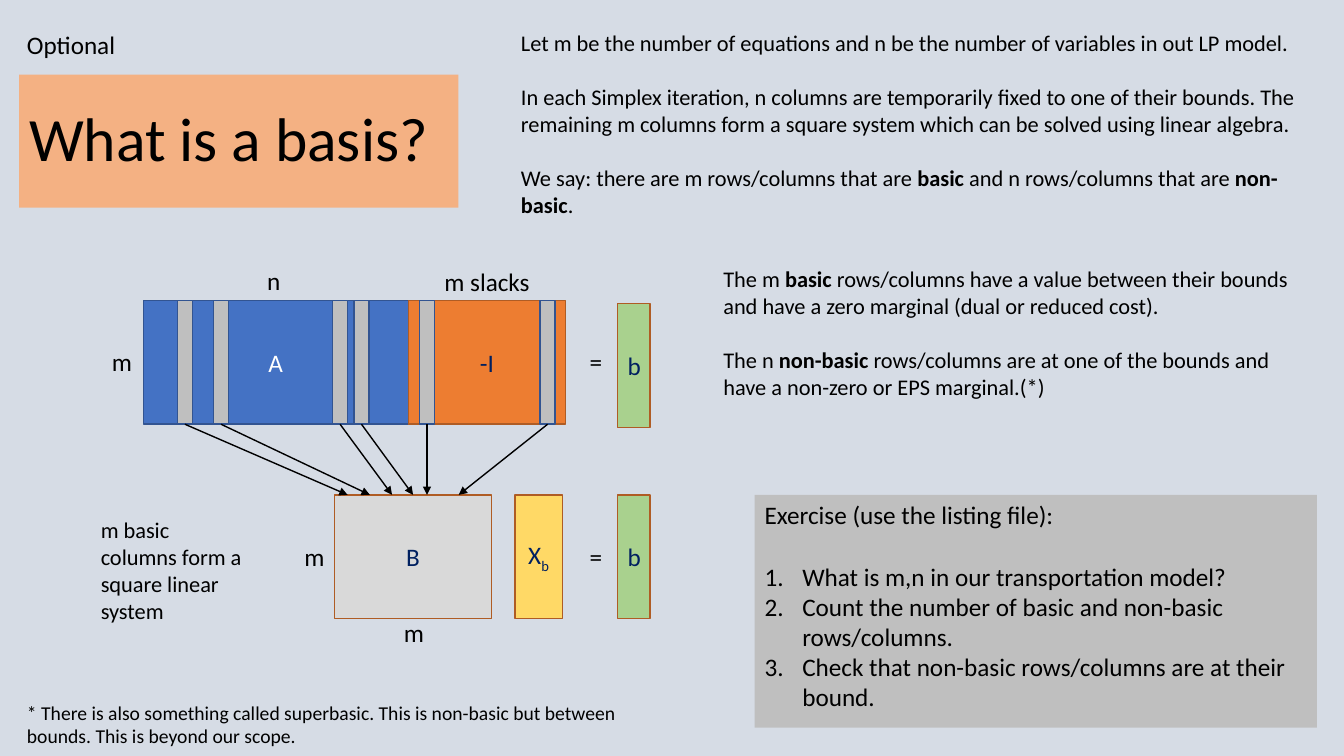
"""Build a slide that explains what a basis is in linear programming."""
from dataclasses import dataclass
from typing import Optional

from lxml import etree
from pptx import Presentation
from pptx.dml.color import RGBColor
from pptx.enum.shapes import MSO_CONNECTOR, MSO_SHAPE
from pptx.enum.text import MSO_ANCHOR, MSO_AUTO_SIZE, PP_ALIGN
from pptx.oxml.ns import qn
from pptx.util import Cm, Pt

RECT, LINE = MSO_SHAPE.RECTANGLE, MSO_CONNECTOR.STRAIGHT
TOP, MIDDLE = MSO_ANCHOR.TOP, MSO_ANCHOR.MIDDLE
LEFT, CENTER = PP_ALIGN.LEFT, PP_ALIGN.CENTER
GROW, FIXED = MSO_AUTO_SIZE.SHAPE_TO_FIT_TEXT, MSO_AUTO_SIZE.NONE

BLACK = RGBColor(0x00, 0x00, 0x00)
WHITE = RGBColor(0xFF, 0xFF, 0xFF)
NAVY = RGBColor(0x00, 0x20, 0x60)
PALE = RGBColor(0xD6, 0xDC, 0xE5)
PEACH = RGBColor(0xF4, 0xB1, 0x83)
BLUE = RGBColor(0x44, 0x72, 0xC4)
DARK = RGBColor(0x32, 0x54, 0x91)
ORANGE = RGBColor(0xED, 0x7D, 0x31)
RUST = RGBColor(0xAF, 0x5C, 0x24)
GREEN = RGBColor(0xA9, 0xD1, 0x8E)
YELLOW = RGBColor(0xFF, 0xD9, 0x66)
SILVER = RGBColor(0xD9, 0xD9, 0xD9)
GRAY = RGBColor(0xBF, 0xBF, 0xBF)

HIGH = 3.12
UPPER, LOWER = 7.57, 12.47
FOOT = UPPER + HIGH


@dataclass
class Box:
    """A filled block of the matrix diagram."""
    text: str
    x: float
    y: float
    w: float
    fill: RGBColor
    edge: RGBColor = RUST
    ink: RGBColor = NAVY
    sub: str = ""


@dataclass
class Note:
    """A text box, where ** switches bold on and off."""
    paras: list[str]
    x: float
    y: float
    w: float
    h: float = 1.02
    size: int = 18
    wrap: bool = False


@dataclass
class Strip:
    """A basic column and the point its arrow reaches, or none for the middle."""
    x: float
    tip: Optional[float]


BOXES = [
    Box("A", 3.61, UPPER, 6.68, BLUE, DARK, WHITE),
    Box("-I", 10.29, UPPER, 3.96, ORANGE),
    Box("b", 15.57, 7.65, 0.81, GREEN),
    Box("X", 12.98, LOWER, 1.19, YELLOW, sub="b"),
    Box("b", 15.57, LOWER, 0.81, GREEN),
]
BASIS = Box("B", 8.43, LOWER, 3.96, SILVER)
STRIPS = [Strip(4.47, 8.76), Strip(5.38, 9.32), Strip(8.38, 9.88),
          Strip(8.92, None), Strip(10.57, 10.76), Strip(13.61, 11.56)]
NOTES = [
    Note(["Optional"], 0.43, 0.61, 2.77),
    Note(["m"], 2.57, 8.61, 1.02),
    Note(["m slacks"], 10.95, 6.58, 2.69),
    Note(["n"], 6.48, 6.55, 0.86),
    Note(["="], 14.61, 8.61, 0.99),
    Note(["="], 14.61, 13.51, 0.99),
    Note(["m"], 7.42, 13.51, 1.02),
    Note(["m"], 9.93, 15.44, 1.02),
    Note(["m basic columns form a square linear system"],
         2.29, 12.88, 4.11, 3, 16, True),
    Note(["Let m be the number of equations and n be the number of variables "
          "in out LP model.",
          "In each Simplex iteration, n columns are temporarily fixed to one of "
          "their bounds. The remaining m columns form a square system which can "
          "be solved using linear algebra.",
          "We say: there are m rows/columns that are **basic** and n "
          "rows/columns that are **non-basic**."],
         12.88, 0.61, 20.52, 5.05, 16, True),
    Note(["The m **basic** rows/columns have a value between their bounds and "
          "have a zero marginal (dual or reduced cost).",
          "The n **non-basic** rows/columns are at one of the bounds and have a "
          "non-zero or EPS marginal.(*)"],
         17.98, 6.55, 15.21, 3.68, 16, True),
    Note(["* There is also something called superbasic. This is non-basic but "
          "between bounds. This is beyond our scope."],
         0.43, 17.53, 15.95, 1.45, 14, True),
]
TASKS = ["What is m,n in our transportation model?",
         "Count the number of basic and non-basic rows/columns.",
         "Check that non-basic rows/columns are at their bound."]


def apply(item, form: dict) -> None:
    """Set each named format value."""
    for key, value in form.items():
        setattr(item, key, value)


def write(para, text: str, size: int, ink: RGBColor = BLACK) -> None:
    """Add runs to a paragraph, with bold between ** marks."""
    for spot, part in enumerate(text.split("**")):
        run = para.add_run()
        run.text = part
        apply(run.font, {"name": "Calibri", "size": Pt(size), "bold": spot % 2 == 1})
        run.font.color.rgb = ink


def add_rect(slide, x: float, y: float, w: float, h: float,
             fill: RGBColor, edge: Optional[RGBColor] = None):
    """Draw a flat rectangle."""
    shape = slide.shapes.add_shape(RECT, Cm(x), Cm(y), Cm(w), Cm(h))
    shape.shadow.inherit = False
    shape.fill.solid()
    shape.fill.fore_color.rgb = fill
    if edge is None:
        shape.line.fill.background()
    else:
        shape.line.color.rgb = edge
        shape.line.width = Pt(1)
    return shape


def add_box(slide, box: Box):
    """Draw a block with its centred label."""
    shape = add_rect(slide, box.x, box.y, box.w, HIGH, box.fill, box.edge)
    shape.text_frame.vertical_anchor = MIDDLE
    para = shape.text_frame.paragraphs[0]
    para.alignment = CENTER
    write(para, box.text, 18, box.ink)
    if box.sub:
        write(para, box.sub, 18, box.ink)
        para.runs[-1].font._element.set("baseline", "-25000")
    return shape


def add_note(slide, note: Note) -> None:
    """Draw a text box whose paragraphs stand one line apart."""
    shape = slide.shapes.add_textbox(Cm(note.x), Cm(note.y), Cm(note.w), Cm(note.h))
    frame = shape.text_frame
    apply(frame, {"word_wrap": note.wrap, "auto_size": GROW})
    for spot, text in enumerate(note.paras):
        para = frame.add_paragraph() if spot else frame.paragraphs[0]
        if spot:
            para.space_before = Pt(note.size * 1.22)
        write(para, text, note.size)


def add_strip(slide, strip: Strip, basis) -> None:
    """Draw a basic column and its arrow into the basis."""
    shape = add_rect(slide, strip.x, UPPER, 0.38, HIGH, GRAY, DARK)
    tip = Cm(strip.tip or 0)
    arrow = slide.shapes.add_connector(LINE, Cm(strip.x), Cm(FOOT), tip, Cm(LOWER))
    arrow.begin_connect(shape, 2)
    if strip.tip is None:
        arrow.end_connect(basis, 0)
    arrow.line.color.rgb = BLACK
    arrow.line.width = Pt(1)
    etree.SubElement(arrow.line._get_or_add_ln(), qn("a:tailEnd"), type="triangle")
    etree.SubElement(arrow._element.spPr, qn("a:effectLst"))


def add_tasks(slide) -> None:
    """Draw the exercise panel with its numbered list."""
    frame = add_rect(slide, 19.02, LOWER, 14.17, 5.87, GRAY).text_frame
    apply(frame, {"vertical_anchor": TOP, "word_wrap": True})
    head = frame.paragraphs[0]
    head.alignment = LEFT
    write(head, "Exercise (use the listing file):", 18)
    for spot, task in enumerate(TASKS):
        para = frame.add_paragraph()
        apply(para, {"alignment": LEFT, "space_before": Pt(0 if spot else 22)})
        write(para, task, 18)
        props = para._p.get_or_add_pPr()
        props.set("marL", str(Cm(0.95)))
        props.set("indent", str(-Cm(0.95)))
        etree.SubElement(props, qn("a:buAutoNum"), type="arabicPeriod")


def add_title(slide) -> None:
    """Place and format the title."""
    title = slide.shapes.title
    apply(title, {"left": Cm(0.48), "top": Cm(1.88),
                  "width": Cm(11.07), "height": Cm(3.35)})
    title.fill.solid()
    title.fill.fore_color.rgb = PEACH
    apply(title.text_frame, {"vertical_anchor": MIDDLE, "word_wrap": True,
                             "auto_size": FIXED})
    para = title.text_frame.paragraphs[0]
    apply(para, {"alignment": LEFT, "line_spacing": 0.9})
    write(para, "What is a basis?", 44)


def main() -> None:
    """Build and save the slide."""
    deck = Presentation()
    apply(deck, {"slide_width": Cm(33.87), "slide_height": Cm(19.05)})
    slide = deck.slides.add_slide(deck.slide_layouts[5])
    slide.background.fill.solid()
    slide.background.fill.fore_color.rgb = PALE
    add_title(slide)
    for box in BOXES:
        add_box(slide, box)
    basis = add_box(slide, BASIS)
    for strip in STRIPS:
        add_strip(slide, strip, basis)
    for note in NOTES:
        add_note(slide, note)
    add_tasks(slide)
    deck.save("out.pptx")


if __name__ == "__main__":
    main()
